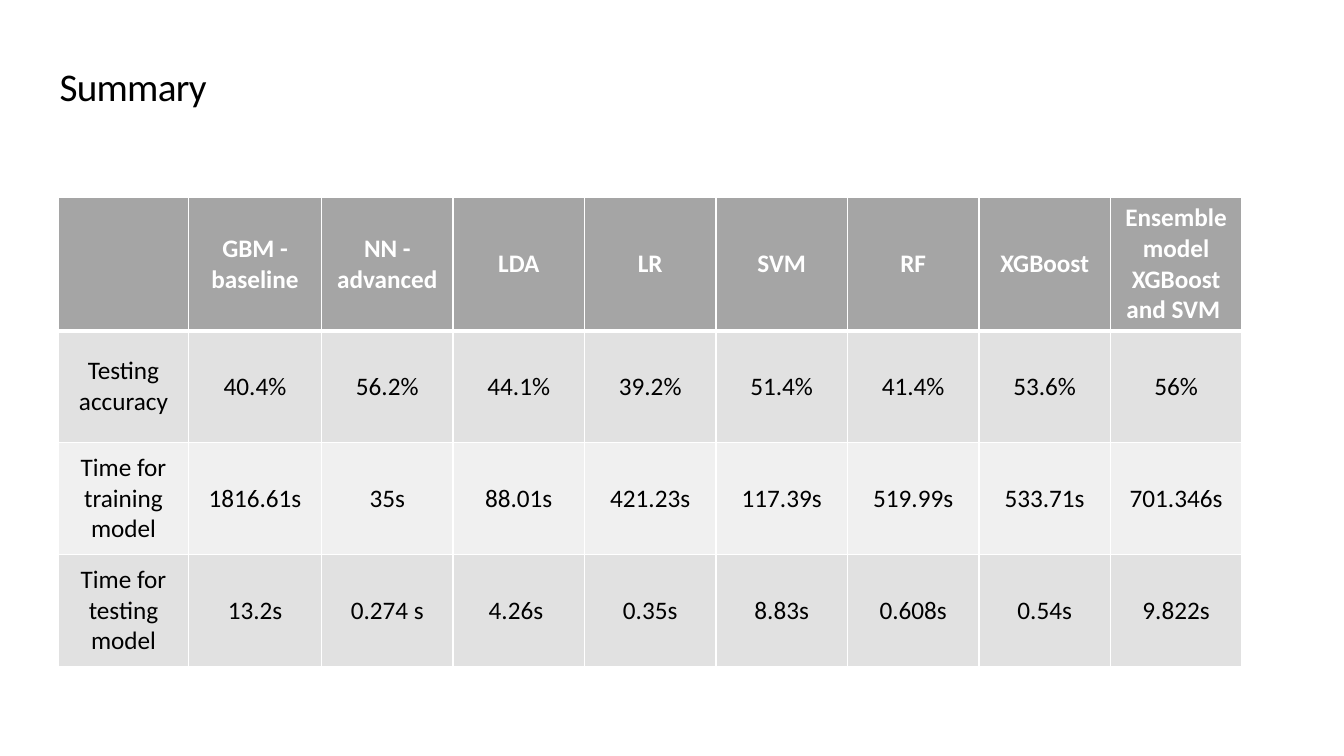
import pptx
import pptx.util
import pptx.dml.color
import pptx.enum.text
import pptx.oxml.ns
from lxml import etree

Inches, Pt = pptx.util.Inches, pptx.util.Pt
ALIGN, ANCHOR = pptx.enum.text.PP_ALIGN, pptx.enum.text.MSO_ANCHOR
qn = pptx.oxml.ns.qn


def color(hex_code):
    return pptx.dml.color.RGBColor.from_string(hex_code)


def write(frame, text, size=18, ink="000000", bold=False, align=ALIGN.CENTER):
    frame.word_wrap = True
    paragraph = frame.paragraphs[0]
    paragraph.alignment = align
    if text:
        run = paragraph.add_run()
        run.text = text
        run.font.name = "Calibri"
        run.font.size = Pt(size)
        run.font.bold = bold
        run.font.color.rgb = color(ink)
    return paragraph


deck = pptx.Presentation()
deck.slide_width, deck.slide_height = Inches(13.33), Inches(7.5)
slide = deck.slides.add_slide(deck.slide_layouts[5])

# Title
title = slide.shapes.title
title.left, title.top = Inches(0.49), Inches(0.44)
title.width, title.height = Inches(6.5), Inches(0.7)
title.text_frame.vertical_anchor = ANCHOR.BOTTOM
title.text_frame.auto_size = pptx.enum.text.MSO_AUTO_SIZE.NONE
heading = write(title.text_frame, "Summary", size=28, align=ALIGN.LEFT)
heading.line_spacing = 0.9
heading.space_after = Pt(6)
heading.runs[0].font._element.set("spc", "-50")

# Model results
results = [
    ["", "GBM - baseline", "NN - advanced", "LDA", "LR", "SVM", "RF", "XGBoost",
     "Ensemble model XGBoost and SVM "],
    ["Testing accuracy", "40.4%", "56.2%", "44.1%", "39.2%", "51.4%", "41.4%",
     "53.6%", "56%"],
    ["Time for training model", "1816.61s", "35s", "88.01s", "421.23s", "117.39s",
     "519.99s", "533.71s", "701.346s"],
    ["Time for testing model", "13.2s", "0.274 s", "4.26s ", "0.35s", "8.83s",
     "0.608s", "0.54s", "9.822s"],
]
row_fills = ["A5A5A5", "E1E1E1", "F0F0F0", "E1E1E1"]
column_widths = [1.29, 1.32] + [1.304] * 7

summary = slide.shapes.add_table(
    len(results), len(column_widths),
    Inches(0.58), Inches(1.96), Inches(11.74), Inches(4.44)).table
for column, width in zip(summary.columns, column_widths):
    column.width = Inches(width)

for r, values in enumerate(results):
    summary.rows[r].height = Inches(1.11)
    header = r == 0
    # White rules, with a heavier one under the header
    rules = {"lnL": 1, "lnR": 1, "lnT": 3 if r == 1 else 1, "lnB": 3 if header else 1}
    for c, value in enumerate(values):
        cell = summary.cell(r, c)
        cell.vertical_anchor = ANCHOR.MIDDLE
        write(cell.text_frame, value, ink="FFFFFF" if header else "000000", bold=header)
        properties = cell._tc.get_or_add_tcPr()
        for side, weight in rules.items():
            rule = etree.SubElement(properties, qn("a:" + side), w=str(Pt(weight)))
            rule_fill = etree.SubElement(rule, qn("a:solidFill"))
            etree.SubElement(rule_fill, qn("a:srgbClr"), val="FFFFFF")
        cell.fill.solid()
        cell.fill.fore_color.rgb = color(row_fills[r])

deck.save("out.pptx")
